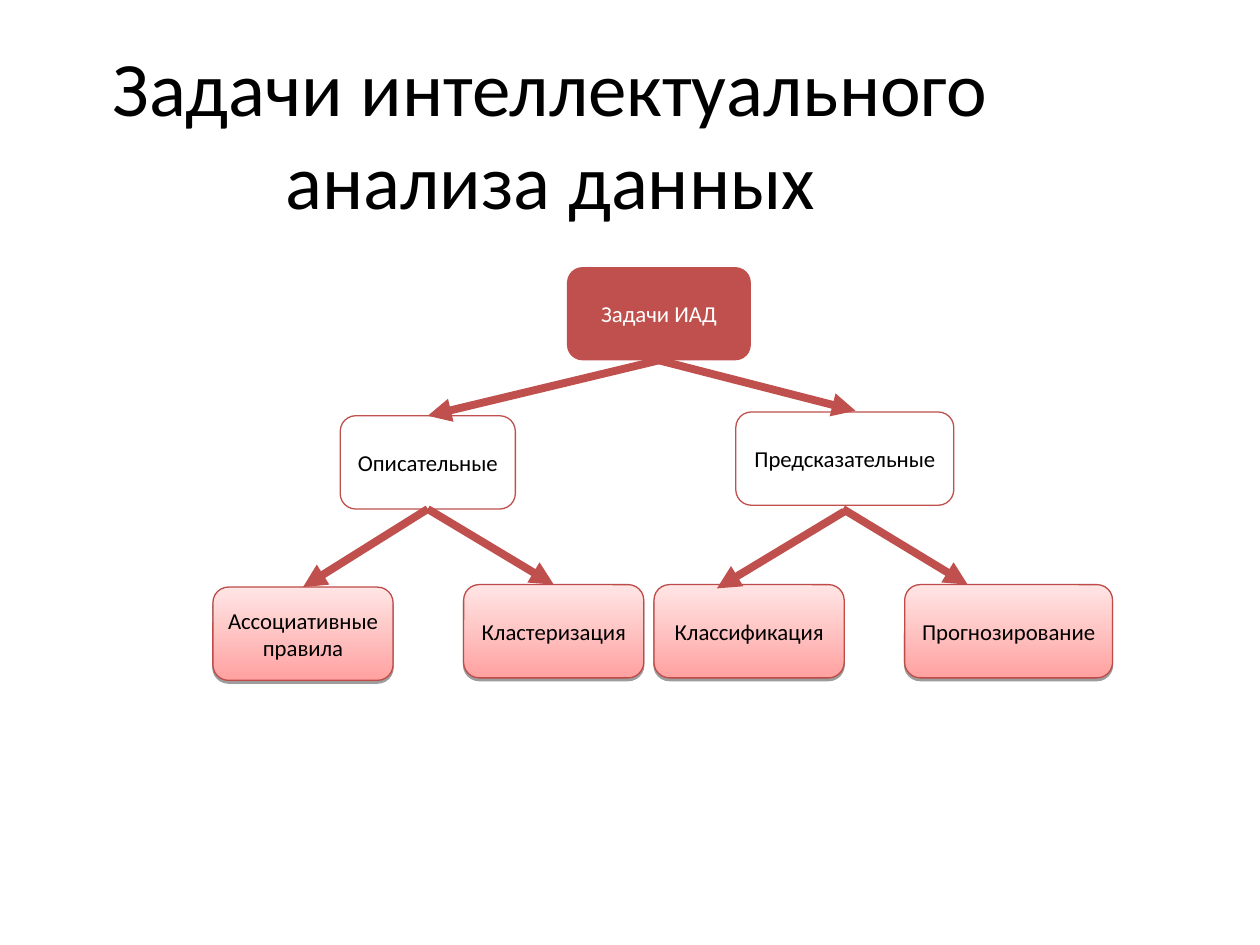
from dataclasses import dataclass

from lxml import etree
from pptx import Presentation
from pptx import util as u
from pptx.dml.color import RGBColor
from pptx.enum import shapes, text
from pptx.oxml.ns import qn


@dataclass(frozen=True)
class Theme:
    font: str = "Calibri"
    title_size: float = 44
    node_size: float = 13
    ink: str = "000000"
    paper: str = "FFFFFF"
    accent: str = "C0504D"
    leaf_line: str = "BE4B48"
    leaf_low: str = "FFA2A1"
    leaf_high: str = "FFE5E5"
    outline: float = 0.75
    arrow: float = 4.5


T = Theme()
COLS, ROWS = 10, 7.5
NODE_H = 0.74
TOP, BOTTOM = 0, 2

prs = Presentation()
prs.slide_width, prs.slide_height = u.Inches(10), u.Inches(7.5)


def x(cols):
    return u.Emu(round(prs.slide_width * cols / COLS))


def y(rows):
    return u.Emu(round(prs.slide_height * rows / ROWS))


def rgb(code):
    return RGBColor.from_string(code)


def write(sp, words, size, color, inset=(0.06, 0.03)):
    tf = sp.text_frame
    tf.word_wrap = True
    tf.auto_size = text.MSO_AUTO_SIZE.NONE
    tf.vertical_anchor = text.MSO_ANCHOR.MIDDLE
    tf.margin_left = tf.margin_right = x(inset[0])
    tf.margin_top = tf.margin_bottom = y(inset[1])
    p = tf.paragraphs[0]
    p.alignment = text.PP_ALIGN.CENTER
    r = p.add_run()
    r.text = words
    r.font.size, r.font.name = u.Pt(size), T.font
    r.font.color.rgb = rgb(color)


def add_shadow(sp):
    effects = sp._element.spPr.find(qn("a:effectLst"))
    shadow = etree.SubElement(effects, qn("a:outerShdw"), blurRad="0",
                              dist=str(u.Pt(1.6)), dir="5400000", rotWithShape="0")
    color = etree.SubElement(shadow, qn("a:srgbClr"), val=T.ink)
    etree.SubElement(color, qn("a:alpha"), val="38000")


def paint(sp, kind):
    if kind == "root":
        sp.fill.solid()
        sp.fill.fore_color.rgb = rgb(T.accent)
        sp.line.fill.background()
        return
    sp.line.width = u.Pt(T.outline)
    if kind == "branch":
        sp.fill.background()
        sp.line.color.rgb = rgb(T.accent)
        return
    sp.fill.gradient()
    sp.fill.gradient_angle = 90
    for stop, color in zip(sp.fill.gradient_stops, (T.leaf_low, T.leaf_high)):
        stop.color.rgb = rgb(color)
    sp.line.color.rgb = rgb(T.leaf_line)
    add_shadow(sp)


def add_node(s, kind, words, left, top, width):
    sp = s.shapes.add_shape(shapes.MSO_SHAPE.ROUNDED_RECTANGLE,
                            x(left), y(top), x(width), y(NODE_H))
    sp.adjustments[0] = 0.167
    sp.shadow.inherit = False
    paint(sp, kind)
    write(sp, words, T.node_size, T.paper if kind == "root" else T.ink)
    return sp


def add_arrow(s, start, end, source=None, target=None):
    c = s.shapes.add_connector(shapes.MSO_CONNECTOR.STRAIGHT,
                               x(start[0]), y(start[1]), x(end[0]), y(end[1]))
    if source is not None:
        c.begin_connect(source, BOTTOM)
    if target is not None:
        c.end_connect(target, TOP)
    c.line.width = u.Pt(T.arrow)
    c.line.color.rgb = rgb(T.accent)
    etree.SubElement(c.line._get_or_add_ln(), qn("a:tailEnd"), type="triangle")
    etree.SubElement(c._element.spPr, qn("a:effectLst"))


def add_title(s, left, top, width, height):
    sp = s.shapes.title
    sp.left, sp.top, sp.width, sp.height = x(left), y(top), x(width), y(height)
    write(sp, "Задачи интеллектуального анализа данных", T.title_size, T.ink, (0, 0))


def add_tree(s, left, top):
    def node(kind, words, col, row, width):
        return add_node(s, kind, words, left + col, top + row, width)

    def arrow(start, end, source=None, target=None):
        add_arrow(s, (left + start[0], top + start[1]),
                  (left + end[0], top + end[1]), source, target)

    root = node("root", "Задачи ИАД", 2.81, 0, 1.46)
    descriptive = node("branch", "Описательные", 1.01, 1.18, 1.39)
    rules = node("leaf", "Ассоциативные правила", 0, 2.54, 1.43)
    clusters = node("leaf", "Кластеризация", 1.99, 2.52, 1.43)
    node("leaf", "Классификация", 3.5, 2.52, 1.51)
    node("leaf", "Прогнозирование", 5.49, 2.52, 1.65)

    arrow((3.54, 0.74), (1.7, 1.18), root, descriptive)
    arrow((3.54, 0.74), (5.1, 1.14), root)
    arrow((1.7, 1.92), (0.71, 2.54), descriptive, rules)
    arrow((1.7, 1.92), (2.71, 2.52), descriptive, clusters)
    arrow((5, 1.92), (5.99, 2.52))
    arrow((5.01, 1.94), (4, 2.55))
    node("branch", "Предсказательные", 4.15, 1.15, 1.73)


def main():
    s = prs.slides.add_slide(prs.slide_layouts.get_by_name("Title Only"))
    add_title(s, 0.44, 0.74, 7.86, 0.62)
    add_tree(s, 1.69, 2.12)
    prs.save("out.pptx")


if __name__ == "__main__":
    main()
